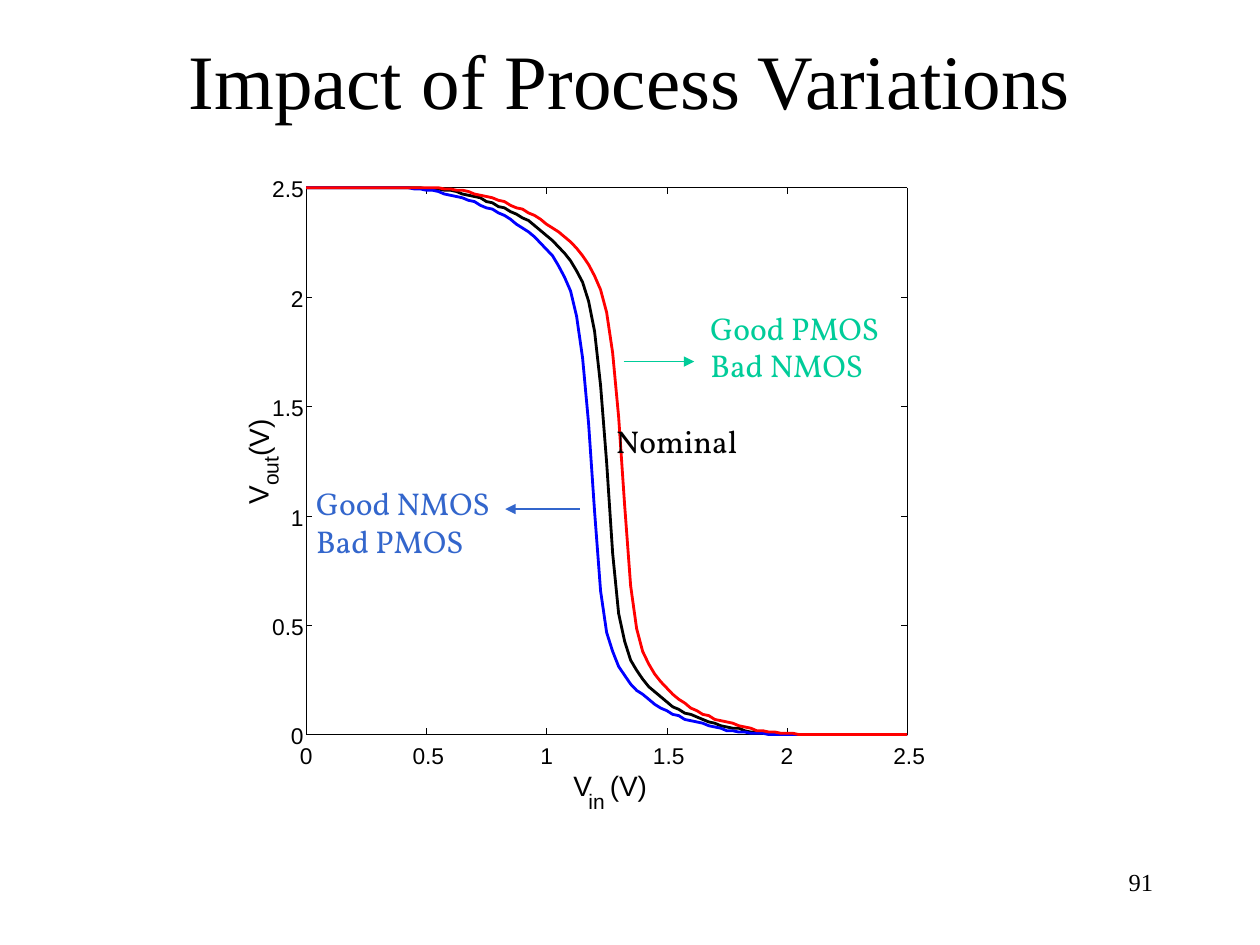
import pptx
import pptx.dml.color
import pptx.enum.shapes
import pptx.enum.text
import pptx.oxml.ns
import pptx.util
from lxml import etree
from pptx.util import Inches, Pt

RGBColor = pptx.dml.color.RGBColor
BLACK = RGBColor(0x00, 0x00, 0x00)
WHITE = RGBColor(0xFF, 0xFF, 0xFF)
BLUE = RGBColor(0x00, 0x00, 0xFF)
RED = RGBColor(0xFF, 0x00, 0x00)
GREEN = RGBColor(0x00, 0xCC, 0x99)
STEEL = RGBColor(0x33, 0x66, 0xCC)

HAIRLINE = 0.25
PLOT = (2.43, 1.49, 4.77, 4.34)
TICKS = ("0", "0.5", "1", "1.5", "2", "2.5")
SAMPLES = 101
NOMINAL = (20, (
    1, 1, 1, 2, 2, 3, 5, 6, 7, 8, 11, 12, 15, 16, 19, 21, 24, 26, 30, 34,
    38, 42, 47, 52, 58, 66, 75, 90, 114, 157, 218, 290, 338, 360, 375, 383, 390, 396, 400, 404,
    408, 412, 414, 417, 418, 420, 422, 424, 425, 427, 428, 429, 429, 431, 432, 432, 433, 433, 433))
GOOD_NMOS = (18, (
    1, 1, 2, 2, 3, 5, 6, 7, 8, 10, 11, 14, 16, 17, 20, 22, 25, 29, 32, 35,
    39, 44, 49, 54, 62, 71, 82, 102, 135, 187, 257, 320, 353, 368, 380, 387, 394, 399, 402, 406,
    410, 413, 415, 418, 419, 422, 423, 424, 425, 427, 428, 429, 431, 431, 432, 432, 433, 433, 433))
GOOD_PMOS = (23, (
    1, 1, 2, 2, 3, 5, 6, 7, 8, 10, 11, 14, 16, 17, 20, 22, 25, 29, 32, 35,
    39, 43, 48, 54, 61, 70, 81, 99, 131, 182, 252, 316, 350, 368, 378, 386, 392, 397, 402, 406,
    409, 413, 415, 418, 419, 422, 423, 424, 425, 427, 428, 429, 431, 431, 432, 432, 433, 433, 433))


def add_run(p, text, size, font, color):
    """Add one formatted run to a paragraph."""
    r = p.add_run()
    r.text = text
    r.font.size = Pt(size)
    r.font.name = font
    r.font.color.rgb = color


def add_label(shapes, box, lines, size, font="Arial", color=BLACK, padded=False, rotation=0):
    """Add an unwrapped text box with one paragraph per line."""
    sp = shapes.add_textbox(*map(Inches, box))
    sp.rotation = rotation
    tf = sp.text_frame
    tf.word_wrap = False
    tf.auto_size = pptx.enum.text.MSO_AUTO_SIZE.SHAPE_TO_FIT_TEXT
    if not padded:
        tf.margin_left = tf.margin_right = tf.margin_top = tf.margin_bottom = 0
    for i, line in enumerate(lines):
        p = tf.add_paragraph() if i else tf.paragraphs[0]
        add_run(p, line, size, font, color)


def add_line(shapes, start, end, color=BLACK, width=HAIRLINE, arrow=False):
    """Add a straight line, with an arrowhead at its end if asked."""
    sp = shapes.add_connector(pptx.enum.shapes.MSO_CONNECTOR.STRAIGHT,
                              *map(Inches, (*start, *end)))
    sp.line.color.rgb = color
    sp.line.width = Pt(width)
    if arrow:
        ln = sp.line._get_or_add_ln()
        etree.SubElement(ln, pptx.oxml.ns.qn("a:tailEnd"), type="triangle")
    etree.SubElement(sp._element.spPr, pptx.oxml.ns.qn("a:effectLst"))


def add_outline(shapes, points, color, width):
    """Add an open, unfilled outline through the points."""
    points = [(Inches(x), Inches(y)) for x, y in points]
    builder = shapes.build_freeform(*points[0])
    builder.add_line_segments(points[1:], close=False)
    sp = builder.convert_to_shape()
    sp.shadow.inherit = False
    sp.fill.background()
    sp.line.color.rgb = color
    sp.line.width = Pt(width)


def draw_axes(shapes, box):
    """Draw the frame, the ticks on all four sides and the tick labels."""
    left, top, width, height = box
    right, bottom = left + width, top + height
    frame = shapes.add_shape(pptx.enum.shapes.MSO_SHAPE.RECTANGLE, *map(Inches, box))
    frame.shadow.inherit = False
    frame.fill.background()
    frame.line.color.rgb = WHITE
    frame.line.width = Pt(HAIRLINE)
    add_line(shapes, (left, bottom), (right, bottom))
    for i, text in enumerate(TICKS):
        share = i / (len(TICKS) - 1)
        x, y = left + share * width, bottom - share * height
        label_w, shift = (0.25, 0.11) if "." in text else (0.1, 0.05)
        add_line(shapes, (x, bottom), (x, bottom - 0.05))
        add_line(shapes, (x, top), (x, top + 0.05))
        add_label(shapes, (x - shift, bottom + 0.06, label_w, 0.22), [text], 13)
        add_line(shapes, (left, y), (left + 0.05, y))
        add_line(shapes, (right, y), (right - 0.05, y))
        add_label(shapes, (left - 0.02 - label_w, y - 0.1, label_w, 0.22), [text], 13)
    add_line(shapes, (left, top), (right, top))
    add_outline(shapes, [(left, bottom), (right, bottom), (right, top)], BLACK, HAIRLINE)
    add_line(shapes, (left, bottom), (left, top))


def draw_curve(shapes, box, curve, color):
    """Draw a transfer curve given as drops in hundredths of an inch."""
    left, top, width, height = box
    start, drops = curve
    tail = SAMPLES - start - len(drops)
    levels = [0] * start + [d / 100 for d in drops] + [height] * tail
    step = width / (SAMPLES - 1)
    add_outline(shapes, [(left + i * step, top + d) for i, d in enumerate(levels)], color, 1.62)


def draw_axis_titles(shapes, box):
    """Write the names of both axes with their subscripts."""
    left, top, _, height = box
    bottom = top + height
    for dx, dy, w, h, text, size in ((2.12, 0.27, 0.15, 0.27, "V", 16),
                                     (2.24, 0.43, 0.13, 0.2, "in", 12),
                                     (2.41, 0.27, 0.3, 0.27, "(V)", 16)):
        add_label(shapes, (left + dx, bottom + dy, w, h), [text], size)
    for dx, dy, w, h, text, size in ((0.46, 2.3, 0.15, 0.27, "V", 16),
                                     (0.41, 2.14, 0.25, 0.2, "out", 12),
                                     (0.53, 1.85, 0.3, 0.27, "(V)", 16)):
        add_label(shapes, (left - dx, top + dy, w, h), [text], size, rotation=270)


def draw_notes(shapes, box):
    """Name the curves and point away from the two outer ones."""
    left, top = box[:2]
    add_line(shapes, (left + 2.52, top + 1.38), (left + 3.08, top + 1.38), GREEN, 1, True)
    add_line(shapes, (left + 2.17, top + 2.55), (left + 1.58, top + 2.55), STEEL, 1, True)
    for dx, dy, w, h, lines, color in (
            (3.11, 0.91, 1.61, 0.7, ["Good PMOS", "Bad NMOS"], GREEN),
            (-0.02, 2.3, 1.65, 0.7, ["Good NMOS", "Bad PMOS"], STEEL),
            (2.36, 1.81, 1.2, 0.4, ["Nominal"], BLACK)):
        add_label(shapes, (left + dx, top + dy, w, h), lines, 18, "Vollkorn", color, True)


def draw_plot(s, box):
    """Draw the whole transfer plot as one group."""
    shapes = s.shapes.add_group_shape().shapes
    draw_axes(shapes, box)
    for curve, color in ((NOMINAL, BLACK), (GOOD_NMOS, BLUE), (GOOD_PMOS, RED)):
        draw_curve(shapes, box, curve, color)
    draw_axis_titles(shapes, box)
    draw_notes(shapes, box)


def draw_title(s, box):
    """Place and fill the title placeholder."""
    sp = s.shapes.title
    sp.left, sp.top, sp.width, sp.height = map(Inches, box)
    tf = sp.text_frame
    tf.vertical_anchor = pptx.enum.text.MSO_ANCHOR.MIDDLE
    p = tf.paragraphs[0]
    p.alignment = pptx.enum.text.PP_ALIGN.CENTER
    add_run(p, "Impact of Process Variations", 44, "Times New Roman", BLACK)


def draw_page_number(s, box):
    """Write the page number at the right of its box."""
    tf = s.shapes.add_textbox(*map(Inches, box)).text_frame
    tf.word_wrap = True
    p = tf.paragraphs[0]
    p.alignment = pptx.enum.text.PP_ALIGN.RIGHT
    add_run(p, "91", 14, "Times New Roman", BLACK)


def main():
    """Build and save the slide."""
    prs = pptx.Presentation()
    prs.slide_width, prs.slide_height = Inches(10), Inches(7.5)
    s = prs.slides.add_slide(prs.slide_layouts[5])
    draw_page_number(s, (7.17, 6.83, 2.08, 0.5))
    draw_title(s, (0.75, 0, 8.5, 1.25))
    draw_plot(s, PLOT)
    prs.save("out.pptx")


if __name__ == "__main__":
    main()
